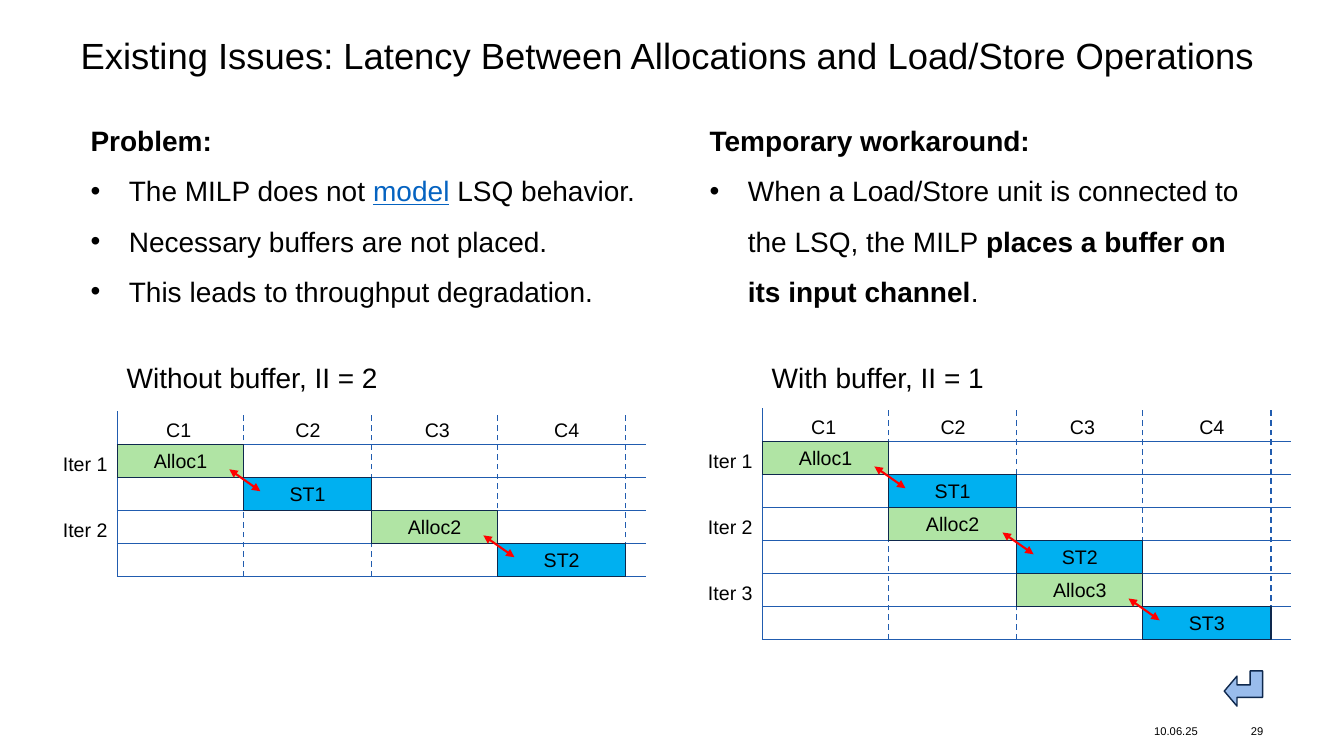
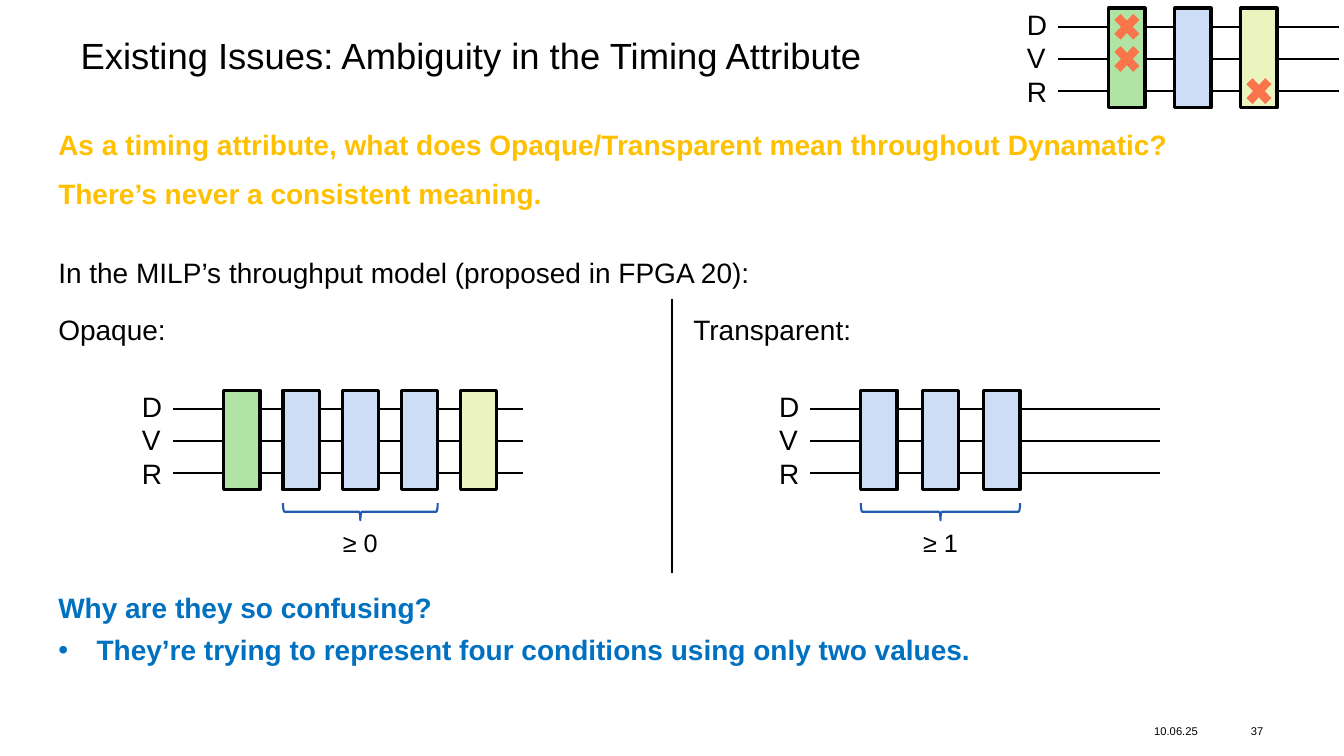
"""Build two slides on buffer placement issues, laid out on a grid of 160 by 90 square cells."""
from itertools import accumulate

from lxml import etree
from pptx import Presentation
from pptx import util as u
from pptx.dml.color import RGBColor
from pptx.enum import dml, shapes, text
from pptx.oxml.ns import qn

CELL = u.Pt(6)
COLS, ROWS = 160, 90
KIND, ALIGN, ANCHOR = shapes.MSO_SHAPE, text.PP_ALIGN, text.MSO_ANCHOR


class Theme:
    font = "Arial"
    title, body, caption, label, footer = 26, 20, 18, 14, 8
    fixed, loose = u.Pt(30), 1.5
    black, navy, blue, red = "000000", "0E284D", "215CAF", "FF0000"
    green, cyan, pale, lime = "B0E4A4", "00B0F0", "CCDDF5", "EBF4BE"
    arrow, cross, link = "99BCEC", "FB754C", "0563C1"
    amber, question = "FFC000", "0070C0"


def put(s, paras, x, y, w, h, kind=None, fill=None, line=None, weight=1, size=Theme.body,
        color=Theme.black, bold=False, align=ALIGN.LEFT, anchor=ANCHOR.TOP, inset=True,
        spacing=1.0, bullets=None, bullet_spacing=Theme.loose):
    """Add a text box or shape; a paragraph is a string or a list of (text, style) runs."""
    place = [round(v * CELL) for v in (x, y, w, h)]
    if kind is None:
        sp = s.shapes.add_textbox(*place)
    else:
        sp = s.shapes.add_shape(kind, *place)
        sp.shadow.inherit = False
        if fill:
            sp.fill.solid()
            sp.fill.fore_color.rgb = RGBColor.from_string(fill)
        else:
            sp.fill.background()
        if line:
            sp.line.color.rgb = RGBColor.from_string(line)
            sp.line.width = u.Pt(weight)
        else:
            sp.line.fill.background()
    tf = sp.text_frame
    tf.word_wrap = True
    tf.vertical_anchor = anchor
    if not inset:
        tf.margin_left = tf.margin_top = tf.margin_right = tf.margin_bottom = 0
    for i, para in enumerate(paras):
        p = tf.paragraphs[0] if i == 0 else tf.add_paragraph()
        p.alignment = align
        p.line_spacing = spacing
        if bullets is not None and i >= bullets:
            p.line_spacing = bullet_spacing
            pPr = p._p.get_or_add_pPr()
            pPr.set("marL", str(u.Inches(0.38)))
            pPr.set("indent", str(-u.Inches(0.38)))
            etree.SubElement(pPr, qn("a:buFont")).set("typeface", Theme.font)
            etree.SubElement(pPr, qn("a:buChar")).set("char", "•")
        for words, style in [(para, "")] if isinstance(para, str) else para:
            r = p.add_run()
            r.text = words
            r.font.name, r.font.size = Theme.font, u.Pt(size)
            r.font.bold = bold or style == "bold"
            r.font.underline = style == "link"
            r.font.color.rgb = RGBColor.from_string(Theme.link if style == "link" else color)
    return sp


def rule(s, x1, y1, x2, y2, color=Theme.black, weight=1.5, dashed=False, arrows=False):
    """Add a straight line, optionally dashed or with an arrowhead at both ends."""
    c = s.shapes.add_connector(shapes.MSO_CONNECTOR.STRAIGHT,
                               *[round(v * CELL) for v in (x1, y1, x2, y2)])
    c.line.color.rgb = RGBColor.from_string(color)
    c.line.width = u.Pt(weight)
    if dashed:
        c.line.dash_style = dml.MSO_LINE.DASH
    spPr = c.element.spPr
    if arrows:
        for end in ("a:headEnd", "a:tailEnd"):
            etree.SubElement(spPr.find(qn("a:ln")), qn(end)).set("type", "triangle")
    etree.SubElement(spPr, qn("a:effectLst"))


prs = Presentation()
prs.slide_width, prs.slide_height = COLS * CELL, ROWS * CELL
slides = []
for title, number in (
    ("Existing Issues: Latency Between Allocations and Load/Store Operations", "29"),
    ("Existing Issues: Ambiguity in the Timing Attribute", "37"),
):
    s = prs.slides.add_slide(prs.slide_layouts[6])
    put(s, [title], 9.6, 4.56, 140.8, 4.56, size=Theme.title, spacing=0.9, inset=False)
    footer = dict(size=Theme.footer, anchor=ANCHOR.MIDDLE, inset=False)
    put(s, ["10.06.25"], 137.4, 85.56, 8, 2.88, **footer)
    put(s, [number], 146.2, 85.56, 4.2, 2.88, align=ALIGN.RIGHT, **footer)
    slides.append(s)
latency, ambiguity = slides

s = latency
for x, paras in (
    (9.6, [
        [("Problem:", "bold")],
        [("The MILP does not ", ""), ("model", "link"), (" LSQ behavior.", "")],
        "Necessary buffers are not placed.",
        "This leads to throughput degradation.",
    ]),
    (83.3, [
        [("Temporary workaround:", "bold")],
        [("When a Load/Store unit is connected to the LSQ, the MILP ", ""),
         ("places a buffer on its input channel", "bold"), (".", "")],
    ]),
):
    put(s, paras, x, 13.08, 67.2, 23.64, spacing=Theme.fixed, bullets=1)

edges = list(accumulate((0, 15, 15.25, 15, 15.25)))
row = 3.93
centred = dict(size=Theme.label, align=ALIGN.CENTER)
for heading, left, top, interval, iterations in (
    ("Without buffer, II = 2", 14, 52.9, 2, 2),
    ("With buffer, II = 1", 90.8, 52.55, 1, 3),
):
    put(s, [heading], left - 0.1, 41.28, 36, 5.76, spacing=Theme.fixed)
    bottom = top + 2 * iterations * row
    for n in range(2 * iterations + 1):
        rule(s, left - 0.1, top + n * row, left + 62.9, top + n * row, Theme.blue, 1)
    for n, edge in enumerate(edges):
        rule(s, left + edge, bottom, left + edge, top - 3.95, Theme.blue, 1, dashed=n > 0)
    for n in range(4):
        put(s, [f"C{n + 1}"], left + 0.55 + 15.4 * n, top - 3.75, 13.44, 3.6, **centred)
    for i in range(iterations):
        y = top + 2 * i * row
        put(s, [f"Iter {i + 1}"], left - 7.7, y + 0.35, 9.36, 3.6, size=Theme.label)
        for step, (name, fill) in enumerate((("Alloc", Theme.green), ("ST", Theme.cyan))):
            col = i * interval + step
            put(s, [f"{name}{i + 1}"], left + edges[col], y + step * row,
                edges[col + 1] - edges[col], row, KIND.RECTANGLE, fill, Theme.navy,
                anchor=ANCHOR.MIDDLE, **centred)
        x, y = left + edges[col] + 0.15, y + row + 0.35
        rule(s, x - 1.85, y - 1.3, x + 1.85, y + 1.3, Theme.red, arrows=True)

back = put(s, [], 145.92, 79.68, 4.2, 4.56, KIND.BENT_UP_ARROW, Theme.arrow, Theme.navy)
for n, share in enumerate((0.351, 0.425, 0.361)):
    back.adjustments[n] = share
back.rotation = 270
back.element.spPr.find(qn("a:xfrm")).set("flipH", "1")

s = ambiguity
margin = 5.76
amber = dict(color=Theme.amber, bold=True)
put(s, ["As a timing attribute, what does Opaque/Transparent mean throughout Dynamatic?"],
    margin, 14.64, 144, 5.28, **amber)
put(s, ["There’s never a consistent meaning."], margin, 20.4, 72, 5.28, **amber)
for words, x, y in (
    ("In the MILP’s throughput model (proposed in FPGA 20):", margin, 28.8),
    ("Opaque:", margin, 35.64),
    ("Transparent:", 81.36, 35.64),
):
    put(s, [words], x, y, 96, 5.76, spacing=Theme.fixed)

gate_w, gate_h, first_gate = 4.32, 11.88, 10.92
pale = Theme.pale
for left, top, length, pitch, gates, crosses, braced, caption in (
    (15.72, 45.72, 41.64, 7.05, (Theme.green, pale, pale, pale, Theme.lime), (), (1, 3), "≥ 0"),
    (91.56, 45.72, 41.64, 7.32, (pale, pale, pale), (), (0, 2), "≥ 1"),
    (121.08, 0.24, 33.36, 7.86, (Theme.green, pale, Theme.lime),
     ((0, 0), (0, 1), (2, 2)), None, None),
):
    wires = [top + 2.95 + 3.83 * n for n in range(3)]
    gate_x = [left + first_gate + pitch * n for n in range(len(gates))]
    for y in wires:
        rule(s, left + 4.92, y, left + 4.92 + length, y)
    put(s, ["D", "V", "R"], left, top, 7.32, 13.32)
    for x, fill in zip(gate_x, gates):
        put(s, [], x, top + 0.72, gate_w, gate_h, KIND.RECTANGLE, fill, Theme.black, 2.25)
    for gate, wire in crosses:
        put(s, [], gate_x[gate], wires[wire] - 2.28, gate_w, 4.56,
            KIND.MATH_MULTIPLY, Theme.cross)
    if braced:
        start, end = gate_x[braced[0]], gate_x[braced[1]] + gate_w
        mid, span = (start + end) / 2, end - start
        brace = put(s, [], mid - 1.02, top + 15.2 - span / 2, 2.04, span,
                    KIND.LEFT_BRACE, line=Theme.blue, weight=1.5)
        brace.rotation = 270
        put(s, [caption], mid - 5, top + 16.45, 10, 4.8, size=Theme.caption, align=ALIGN.CENTER)

rule(s, COLS / 2, 35.64, COLS / 2, 68.16)
put(s, ["Why are they so confusing?",
        "They’re trying to represent four conditions using only two values."],
    margin, 68.76, 120, 10.8, color=Theme.question, bold=True,
    spacing=Theme.fixed, bullets=1, bullet_spacing=Theme.fixed)

prs.save("out.pptx")
